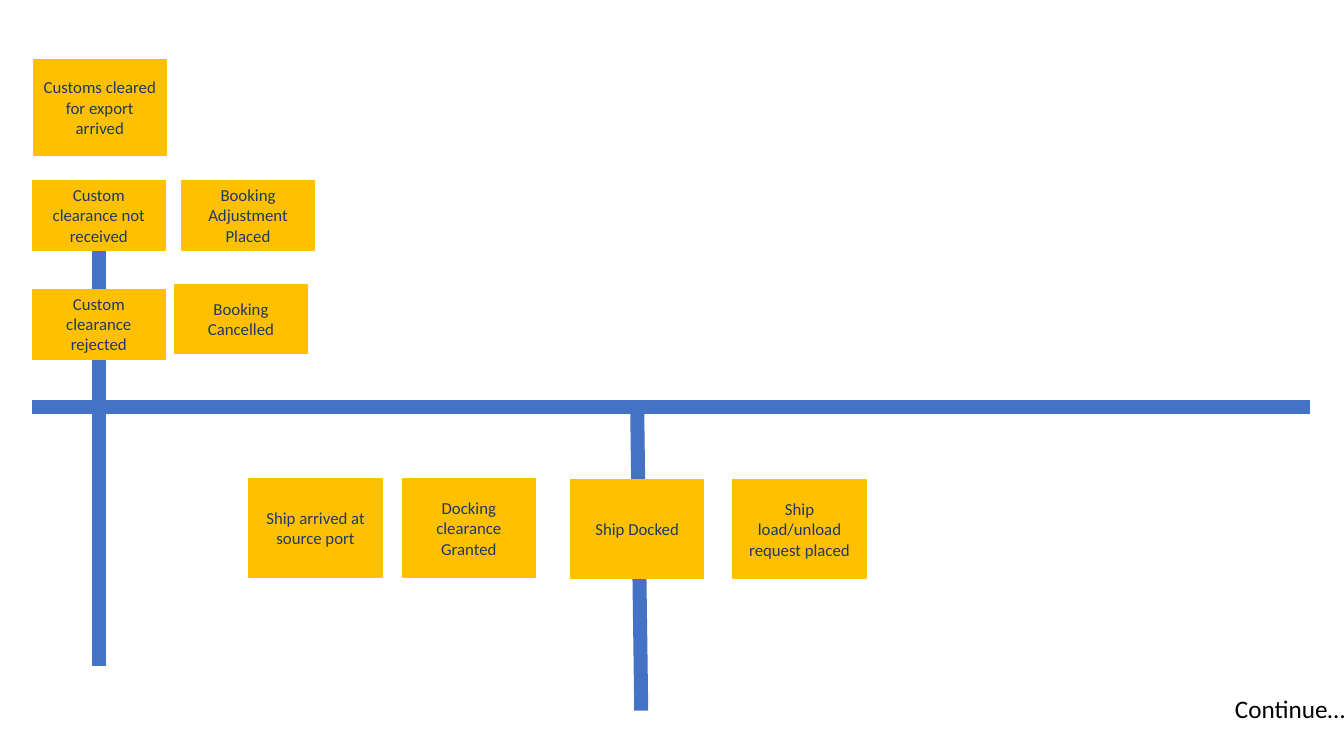
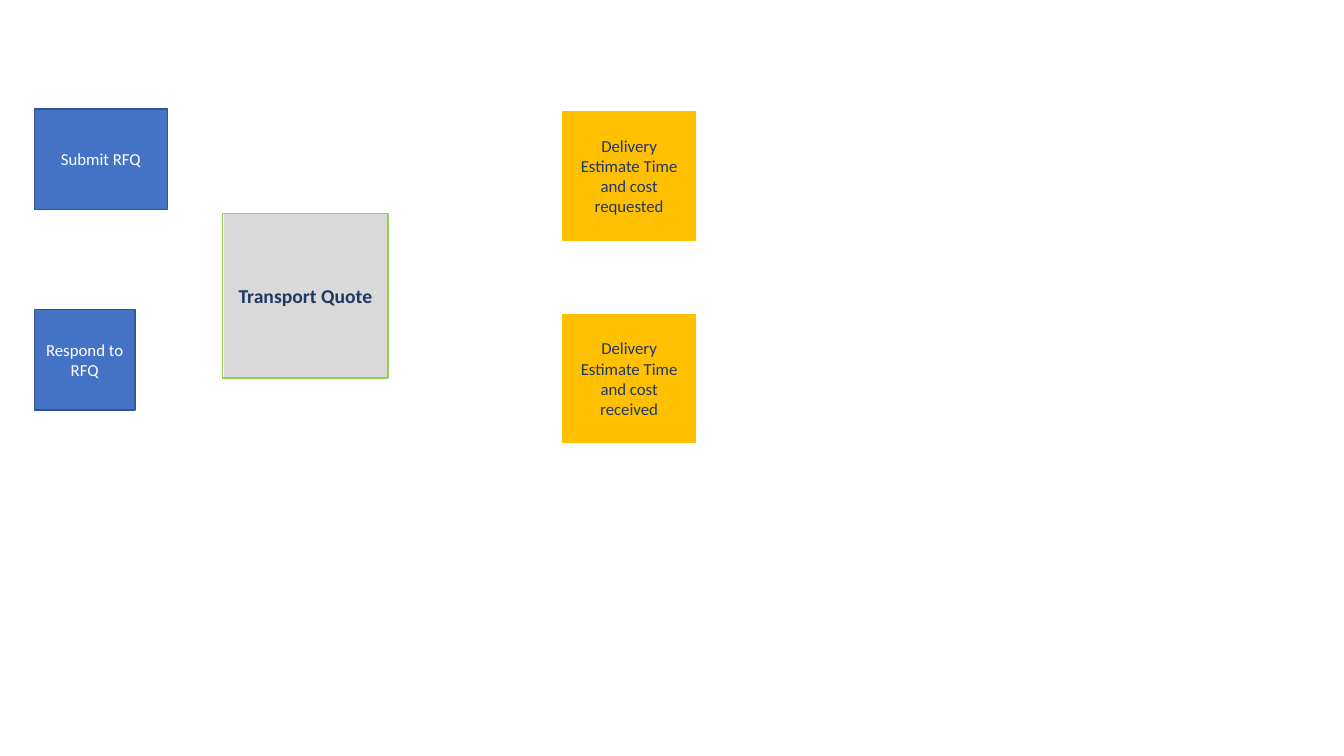
from lxml import etree
from pptx import Presentation
from pptx.dml.color import RGBColor
from pptx.enum.dml import MSO_PATTERN
from pptx.enum.shapes import MSO_CONNECTOR, MSO_SHAPE
from pptx.enum.text import MSO_ANCHOR, MSO_AUTO_SIZE, PP_ALIGN
from pptx.oxml.ns import qn
from pptx.util import Inches, Pt

RECTANGLE = MSO_SHAPE.RECTANGLE
STRAIGHT = MSO_CONNECTOR.STRAIGHT
DARK_VERTICAL = MSO_PATTERN.DARK_VERTICAL
MIDDLE = MSO_ANCHOR.MIDDLE
CENTER = PP_ALIGN.CENTER
FIT_SHAPE = MSO_AUTO_SIZE.SHAPE_TO_FIT_TEXT

AMBER = RGBColor(0xFF, 0xC0, 0x00)
BLUE = RGBColor(0x44, 0x72, 0xC4)
DARK_BLUE = RGBColor(0x32, 0x54, 0x91)
NAVY = RGBColor(0x20, 0x38, 0x64)
GREEN = RGBColor(0x92, 0xD0, 0x50)
GRAY = RGBColor(0xD9, 0xD9, 0xD9)
WHITE = RGBColor(0xFF, 0xFF, 0xFF)
BLACK = RGBColor(0x00, 0x00, 0x00)

FONT = "Calibri"
NOTE_WIDTH = 1.32

# Note styles: fill, line, text colour, size, bold
EVENT = (AMBER, AMBER, NAVY, 12, False)
COMMAND = (BLUE, DARK_BLUE, WHITE, 12, False)
AGGREGATE = (GRAY, GREEN, NAVY, 14, True)

# Slide 1: timeline axes (x1, y1, x2, y2) and events (text, left, top, height)
AXES = [
    (0.98, 1.86, 0.98, 6.61),
    (6.32, 4.05, 6.36, 7.05),
    (0.32, 4.04, 12.99, 4.04),
]
TIMELINE_EVENTS = [
    ("Customs cleared for export arrived", 0.33, 0.59, 0.95),
    ("Custom clearance not received", 0.32, 1.79, 0.69),
    ("Booking Adjustment Placed", 1.8, 1.79, 0.69),
    ("Custom clearance rejected", 0.32, 2.87, 0.69),
    ("Booking Cancelled", 1.73, 2.82, 0.69),
    ("Ship arrived at source port", 2.47, 4.75, 0.98),
    ("Docking clearance Granted", 3.99, 4.75, 0.98),
    ("Ship Docked", 5.66, 4.76, 0.98),
    ("Ship load/unload request placed", 7.27, 4.76, 0.98),
]

# Slide 2: text, left, top, width, height, style
QUOTE_NOTES = [
    ("Submit RFQ", 0.34, 1.08, NOTE_WIDTH, 1, COMMAND),
    ("Respond to RFQ", 0.34, 3.07, 1, 1, COMMAND),
    ("Transport Quote", 2.21, 2.12, 1.64, 1.63, AGGREGATE),
    ("Delivery Estimate Time and cost requested", 5.58, 1.11, NOTE_WIDTH, 1.27, EVENT),
    ("Delivery Estimate Time and cost received", 5.58, 3.12, NOTE_WIDTH, 1.27, EVENT),
]


def write(frame, text, size, color, bold=False):
    frame.text = text
    font = frame.paragraphs[0].runs[0].font
    font.name, font.size, font.bold = FONT, Pt(size), bold
    font.color.rgb = color


def add_note(page, text, left, top, width, height, style):
    fill_color, line_color, text_color, size, bold = style
    box = page.shapes.add_shape(
        RECTANGLE, Inches(left), Inches(top), Inches(width), Inches(height))
    box.shadow.inherit = False
    if style is AGGREGATE:
        box.fill.patterned()
        box.fill.pattern = DARK_VERTICAL
        box.fill.fore_color.rgb = fill_color
        box.fill.back_color.rgb = WHITE
    else:
        box.fill.solid()
        box.fill.fore_color.rgb = fill_color
    box.line.color.rgb = line_color
    box.line.width = Pt(1)
    frame = box.text_frame
    frame.word_wrap = True
    frame.vertical_anchor = MIDDLE
    write(frame, text, size, text_color, bold)
    frame.paragraphs[0].alignment = CENTER


def add_axis(page, x1, y1, x2, y2):
    axis = page.shapes.add_connector(
        STRAIGHT, Inches(x1), Inches(y1), Inches(x2), Inches(y2))
    axis.line.color.rgb = BLUE
    axis.line.width = Pt(10)
    # An empty effect list switches the theme shadow off
    etree.SubElement(axis._element.spPr, qn("a:effectLst"))


def build_timeline(page):
    for axis in AXES:
        add_axis(page, *axis)
    for text, left, top, height in TIMELINE_EVENTS:
        add_note(page, text, left, top, NOTE_WIDTH, height, EVENT)
    # Continuation label
    label = page.shapes.add_textbox(
        Inches(12.15), Inches(6.83), Inches(1.33), Inches(0.4))
    label.text_frame.word_wrap = False
    label.text_frame.auto_size = FIT_SHAPE
    write(label.text_frame, "Continue…", 18, BLACK)


def build_quote(page):
    for note in QUOTE_NOTES:
        add_note(page, *note)


def main():
    deck = Presentation()
    deck.slide_width, deck.slide_height = Inches(13.33), Inches(7.5)
    blank = deck.slide_layouts[6]
    for build in (build_timeline, build_quote):
        build(deck.slides.add_slide(blank))
    deck.save("out.pptx")


if __name__ == "__main__":
    main()
